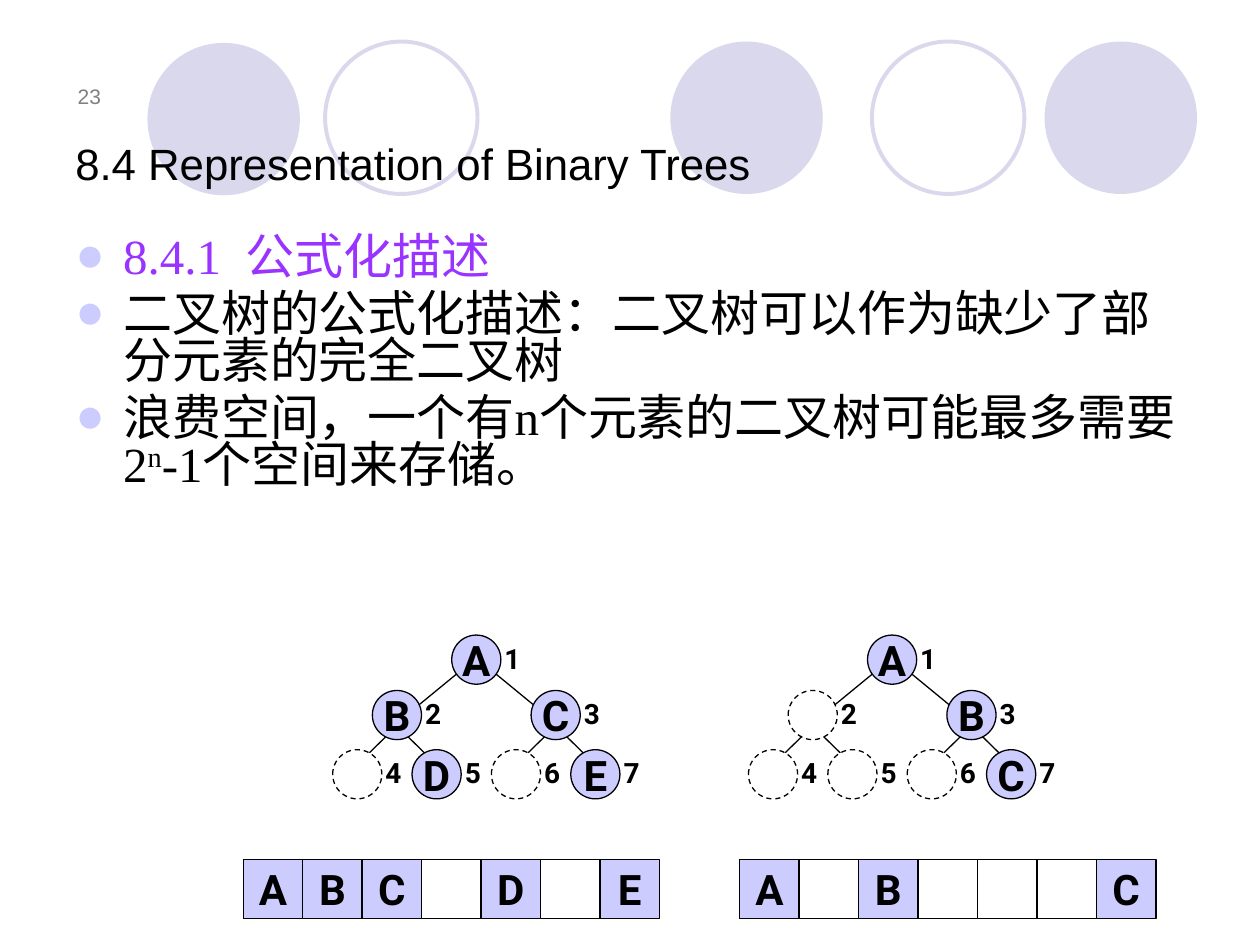
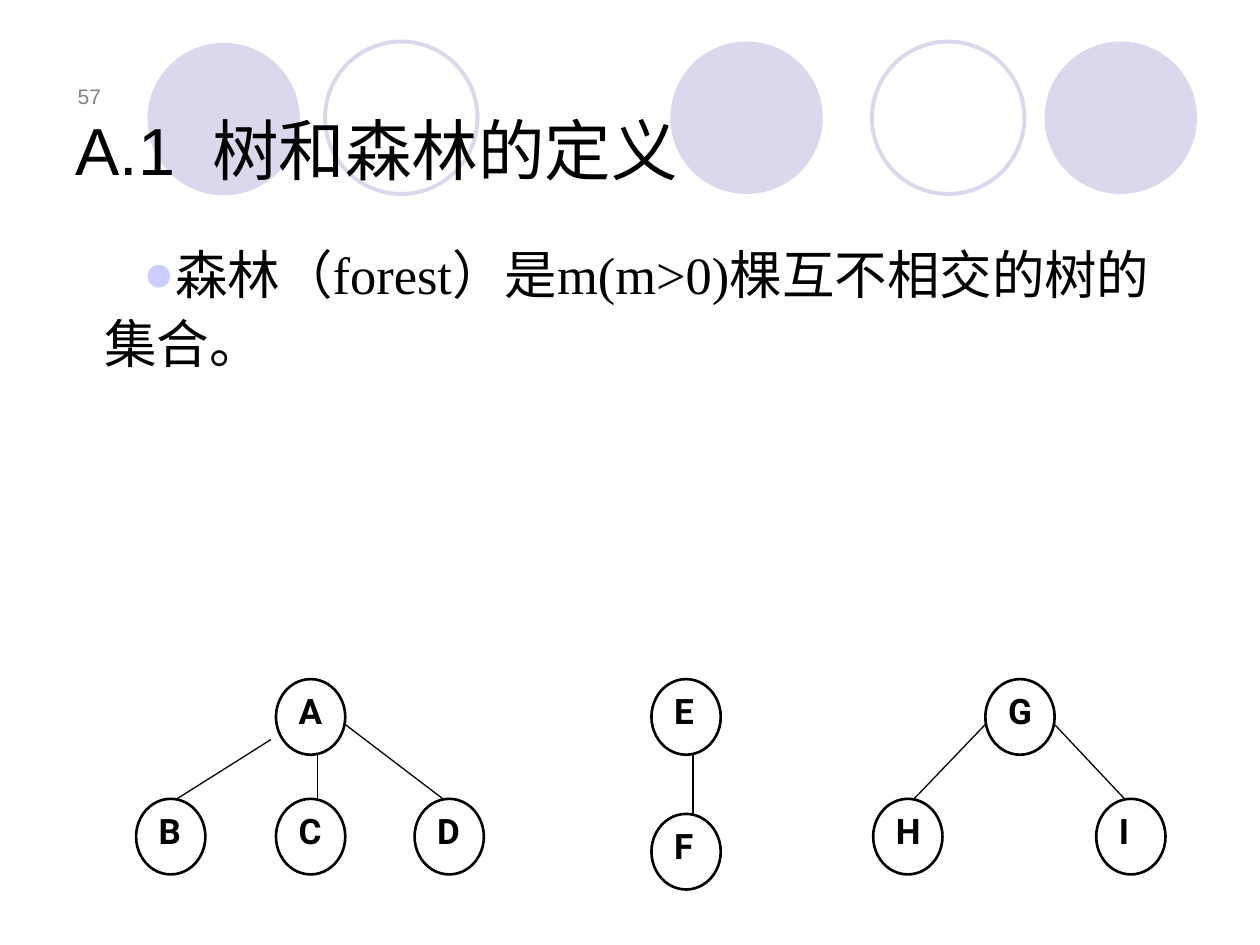
from lxml import etree
from pptx import Presentation
from pptx.dml.color import RGBColor
from pptx.enum.dml import MSO_LINE
from pptx.enum.shapes import MSO_CONNECTOR, MSO_SHAPE
from pptx.enum.text import MSO_ANCHOR, PP_ALIGN
from pptx.oxml.ns import qn
from pptx.util import Inches, Pt

OVAL, RECTANGLE = MSO_SHAPE.OVAL, MSO_SHAPE.RECTANGLE
STRAIGHT, DASH = MSO_CONNECTOR.STRAIGHT, MSO_LINE.DASH
TOP, MIDDLE, BOTTOM = MSO_ANCHOR.TOP, MSO_ANCHOR.MIDDLE, MSO_ANCHOR.BOTTOM
LEFT, CENTER, RIGHT = PP_ALIGN.LEFT, PP_ALIGN.CENTER, PP_ALIGN.RIGHT

BLACK = RGBColor(0x00, 0x00, 0x00)
WHITE = RGBColor(0xFF, 0xFF, 0xFF)
GRAY = RGBColor(0x80, 0x80, 0x80)
PURPLE = RGBColor(0x99, 0x33, 0xFF)
LAVENDER = RGBColor(0xCC, 0xCC, 0xFF)
PALE = RGBColor(0xD9, 0xD8, 0xEC)

SANS, SERIF, LABEL = "Arial", "Times New Roman", "Roboto"

BAND_SIZE = 1.21
BAND = [(5.32, 0.33, True), (8.29, 0.33, True), (1.17, 0.34, True),
        (6.92, 0.33, False), (2.58, 0.33, False)]

BINARY_TITLE = ("23", "8.4 Representation of Binary Trees", 25)
BINARY_POINTS = [
    [("8.4.1  公式化描述", PURPLE, 0)],
    [("二叉树的公式化描述：二叉树可以作为缺少了部分元素的完全二叉树", BLACK, 0)],
    [("浪费空间，一个有n个元素的二叉树可能最多需要2", BLACK, 0),
     ("n", BLACK, 30),
     ("-1个空间来存储。", BLACK, 0)],
]
BINARY_TREES = [
    {"keys": ["A", "B", "C", "", "D", "", "E"], "tree_left": 2.64, "array_left": 1.93},
    {"keys": ["A", "", "B", "", "", "", "C"], "tree_left": 5.94, "array_left": 5.87},
]
LEVEL_TOPS = [5.04, 5.48, 5.95]
LEAF_STEP, NODE_SIZE = 0.63, 0.39
EDGE_ENDS = [(0.12, 0.28, 0.12, 0.16), (0.04, 0.32, 0.04, 0.08)]
ARRAY_TOP, CELL_SIZE = 6.82, 0.472

FOREST_TITLE = ("57", "A.1  树和森林的定义", 38)
FOREST_POINTS = [[("森林（forest）是m(m>0)棵互不相交的树的集合。", BLACK, 0)]]
FOREST_NODES = {
    "A": (2.19, 5.39), "B": (1.08, 6.34), "C": (2.19, 6.34), "D": (3.29, 6.34),
    "E": (5.17, 5.39), "F": (5.17, 6.46),
    "G": (7.82, 5.39), "H": (6.93, 6.34), "I": (8.70, 6.34),
}
FOREST_EDGES = ["AB", "AC", "AD", "EF", "GH", "GI"]
EDGE_STARTS = {"AB": (2.15, 5.87)}
OVAL_WIDTH, OVAL_HEIGHT = 0.55, 0.6


def add_span(para, text, size, font, color, bold=False, baseline=0):
    span = para.add_run()
    span.text = text
    span.font.size = Pt(size)
    span.font.name = font
    span.font.bold = bold
    span.font.color.rgb = color
    if baseline:
        span._r.get_or_add_rPr().set("baseline", str(baseline * 1000))


def add_space_before(para, percent):
    holder = etree.SubElement(para._p.get_or_add_pPr(), qn("a:spcBef"))
    etree.SubElement(holder, qn("a:spcPct")).set("val", str(percent * 1000))


def add_bullet(para, margin, indent):
    properties = para._p.get_or_add_pPr()
    properties.set("marL", str(Inches(margin)))
    properties.set("indent", str(Inches(indent)))
    color = etree.SubElement(properties, qn("a:buClr"))
    etree.SubElement(color, qn("a:srgbClr")).set("val", str(LAVENDER))
    etree.SubElement(properties, qn("a:buFont")).set("typeface", SANS)
    etree.SubElement(properties, qn("a:buChar")).set("char", "●")


def add_box(page, left, top, width, height, anchor=TOP):
    box = page.shapes.add_textbox(Inches(left), Inches(top), Inches(width), Inches(height))
    box.text_frame.word_wrap = True
    box.text_frame.vertical_anchor = anchor
    return box.text_frame


def add_figure(page, kind, left, top, width, height, fill=None, line=None, weight=0.75):
    shape = page.shapes.add_shape(kind, Inches(left), Inches(top), Inches(width), Inches(height))
    shape.shadow.inherit = False
    if fill is None:
        shape.fill.background()
    else:
        shape.fill.solid()
        shape.fill.fore_color.rgb = fill
    if line is None:
        shape.line.fill.background()
    else:
        shape.line.color.rgb = line
        shape.line.width = Pt(weight)
    return shape


def add_edge(page, start, end):
    edge = page.shapes.add_connector(STRAIGHT, *(Inches(value) for value in (*start, *end)))
    edge.line.color.rgb = BLACK
    edge.line.width = Pt(0.75)
    etree.SubElement(edge._element.spPr, qn("a:effectLst"))


def add_page(deck, number, title, title_size):
    page = deck.slides.add_slide(deck.slide_layouts[6])
    for left, top, filled in BAND:
        add_figure(page, OVAL, left, top, BAND_SIZE, BAND_SIZE,
                   PALE if filled else None, None if filled else PALE, 2.25)
    para = add_box(page, 0.35, 0.44, 0.55, 0.47, BOTTOM).paragraphs[0]
    para.alignment = RIGHT
    add_span(para, number, 12, SANS, GRAY)
    para = add_box(page, 0.5, 0.3, 9, 1.25, BOTTOM).paragraphs[0]
    add_span(para, title, title_size, SANS, BLACK)
    return page


def add_points(page, points, place, size, spacing, margin, indent):
    frame = add_box(page, *place)
    for index, spans in enumerate(points):
        para = frame.add_paragraph() if index else frame.paragraphs[0]
        para.line_spacing = spacing
        add_space_before(para, 20)
        add_bullet(para, margin, indent)
        for text, color, baseline in spans:
            add_span(para, text, size, SERIF, color, baseline=baseline)


def add_key(page, kind, left, top, size, key):
    shape = add_figure(page, kind, left, top, size, size, LAVENDER if key else WHITE, BLACK)
    if key:
        frame = shape.text_frame
        frame.word_wrap = False
        frame.vertical_anchor = MIDDLE
        para = frame.paragraphs[0]
        para.alignment = CENTER
        add_span(para, key, 24, LABEL, BLACK, bold=True)
    return shape


def node_place(index, tree_left):
    depth = index.bit_length() - 1
    position = index - 2 ** depth
    slot = (2 * position + 1) * 2 ** (1 - depth) - 0.5
    return tree_left + LEAF_STEP * slot, LEVEL_TOPS[depth], depth


def add_binary_tree(page, keys, tree_left):
    for child in range(2, len(keys) + 1):
        parent_left, parent_top, depth = node_place(child // 2, tree_left)
        child_left, child_top, _ = node_place(child, tree_left)
        side = 1 if child % 2 else -1
        parent_dx, parent_dy, child_dx, child_dy = EDGE_ENDS[depth]
        half = NODE_SIZE / 2
        add_edge(page,
                 (child_left + half - side * child_dx, child_top + child_dy),
                 (parent_left + half + side * parent_dx, parent_top + parent_dy))
    for index, key in enumerate(keys, 1):
        left, top, _ = node_place(index, tree_left)
        node = add_key(page, OVAL, left, top, NODE_SIZE, key)
        if not key:
            node.line.dash_style = DASH
        para = add_box(page, left + 0.32, top, 0.31, 0.37).paragraphs[0]
        add_space_before(para, 50)
        add_span(para, str(index), 16, LABEL, BLACK, bold=True)


def add_forest(page):
    for edge in FOREST_EDGES:
        (left, top), (child_left, child_top) = (FOREST_NODES[name] for name in edge)
        if left == child_left:
            start = (left + 0.33, top + OVAL_HEIGHT)
            end = (left + 0.33, child_top)
        else:
            side = 1 if child_left > left else -1
            start = (left + (OVAL_WIDTH if side > 0 else 0), top + 0.36)
            end = (child_left + OVAL_WIDTH / 2 - side * 0.05, child_top)
        add_edge(page, EDGE_STARTS.get(edge, start), end)
    for name, (left, top) in FOREST_NODES.items():
        frame = add_box(page, left + 0.18, top + 0.15, 0.29, 0.27)
        frame.margin_left = frame.margin_right = frame.margin_top = frame.margin_bottom = 0
        para = frame.paragraphs[0]
        para.alignment = LEFT
        para.line_spacing = 0.8
        add_space_before(para, 50)
        add_span(para, name, 20, LABEL, BLACK, bold=True)
        add_figure(page, OVAL, left, top, OVAL_WIDTH, OVAL_HEIGHT, line=BLACK, weight=1.5)


def main():
    deck = Presentation()
    deck.slide_width, deck.slide_height = Inches(10), Inches(7.5)

    page = add_page(deck, *BINARY_TITLE)
    add_points(page, BINARY_POINTS, (0.5, 1.83, 9, 3.06), 28, 0.8, 0.38, -0.38)
    for tree in BINARY_TREES:
        for column, key in enumerate(tree["keys"]):
            add_key(page, RECTANGLE, tree["array_left"] + column * CELL_SIZE,
                    ARRAY_TOP, CELL_SIZE, key)
        add_binary_tree(page, tree["keys"], tree["tree_left"])

    page = add_page(deck, *FOREST_TITLE)
    add_points(page, FOREST_POINTS, (0.73, 1.82, 8.71, 3.14), 30, 1.1, 0, 0.31)
    add_forest(page)

    deck.save("out.pptx")


if __name__ == "__main__":
    main()
